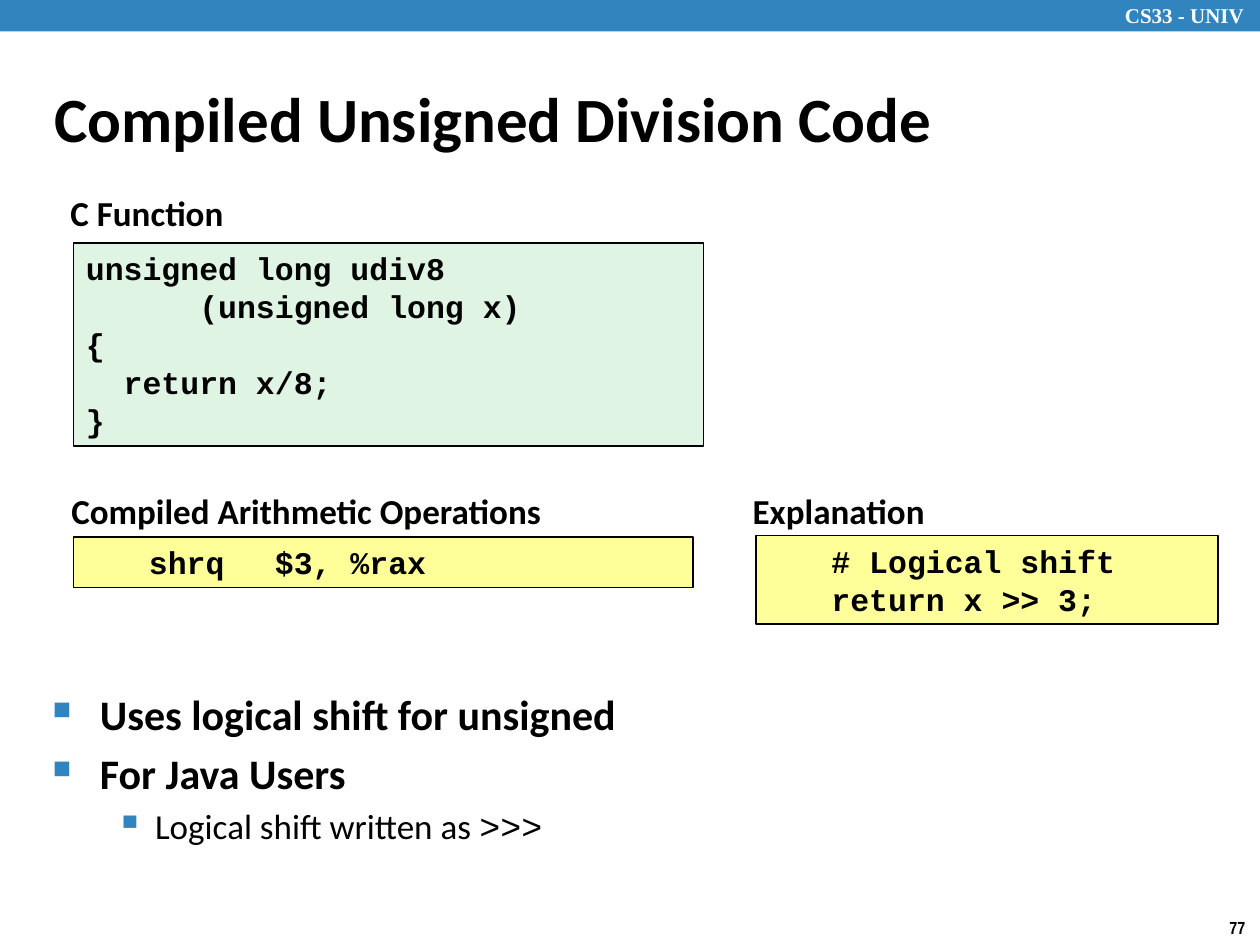
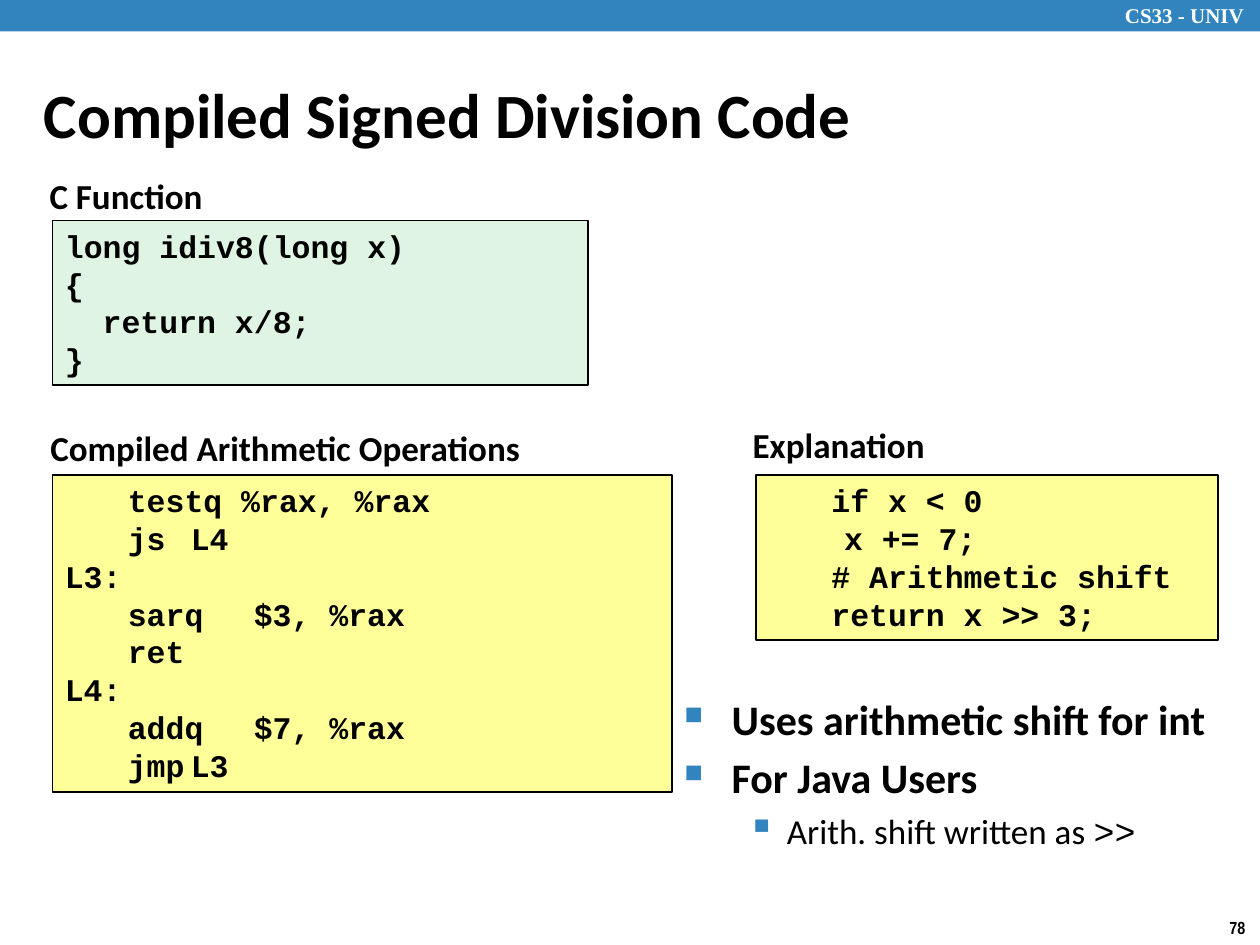
"""Two slides on compiled division code."""
from lxml import etree as et
from pptx import Presentation
from pptx import util as u
from pptx.dml import color as c
from pptx.enum import shapes, text
from pptx.oxml import ns

Pt = u.Pt
BLUE = c.RGBColor(0x32, 0x84, 0xBF)
GREEN = c.RGBColor(0xE0, 0xF4, 0xE3)
YELLOW = c.RGBColor(0xFF, 0xFF, 0x99)
BLACK = c.RGBColor(0, 0, 0)
WHITE = c.RGBColor(255, 255, 255)

HEAD = dict(name="Calibri", size=Pt(36), bold=True)
LABEL = dict(name="Calibri", size=Pt(20), bold=True)
CODE = dict(name="Courier New", size=Pt(18), bold=True)
BRAND = dict(name="Times New Roman", size=Pt(12), bold=True)
PAGE = dict(name="Arial Narrow", size=Pt(10), bold=True)
POINT = dict(name="Calibri", size=Pt(24), bold=True)
SUB = dict(name="Calibri", size=Pt(20), bold=False)
MONO = dict(SUB, name="Courier New")

CHAR, LINE, PAD = 10.8, 21.75, 7.2  # code character width, line height, padding
FIT = dict(auto_size=text.MSO_AUTO_SIZE.SHAPE_TO_FIT_TEXT)


def assign(obj, fmt):
    """Set every attribute named in a dict of format values."""
    for key, val in fmt.items():
        setattr(obj, key, val)


def child(node, tag, **attrs):
    """Append a drawing element with attributes."""
    sub = et.SubElement(node, ns.qn("a:" + tag))
    for key, val in attrs.items():
        sub.set(key, str(val))
    return sub


def indent(par, left, first=0):
    """Set the left margin and first-line indent in points."""
    props = par._p.get_or_add_pPr()
    props.set("marL", str(int(Pt(left))))
    props.set("indent", str(int(Pt(first))))
    return props


class Deck:
    """Holds the presentation, its style and the current slide."""

    def __init__(self, page):
        """Open an empty 10 by 7.5 inch deck; page is the first number."""
        self.prs = Presentation()
        self.prs.slide_width, self.prs.slide_height = Pt(720), Pt(540)
        self.page = page

    def start(self, title, left, top):
        """Begin a slide with band, course name, page number and title."""
        self.slide = self.prs.slides.add_slide(self.prs.slide_layouts[6])
        self.rect(0, 0, 720, 18, BLUE)
        frame = self.box(635.75, -2, 89.25, 21.6, **FIT)
        self.run(frame.paragraphs[0], "CS33 - UNIV", BRAND, WHITE)
        frame = self.box(695.5, 520.5, 24.5, 19.5, **FIT, word_wrap=False)
        self.run(frame.paragraphs[0], str(self.page), PAGE)
        self.page += 1
        frame = self.box(left, top, 624, 45,
                         vertical_anchor=text.MSO_ANCHOR.MIDDLE)
        indent(frame.paragraphs[0], 9, -9)
        self.run(frame.paragraphs[0], title, HEAD)

    def rect(self, left, top, width, height, fill):
        """Draw a plain filled rectangle."""
        shape = self.slide.shapes.add_shape(
            shapes.MSO_SHAPE.RECTANGLE, Pt(left), Pt(top), Pt(width), Pt(height))
        shape.shadow.inherit = False
        shape.fill.solid()
        shape.fill.fore_color.rgb = fill
        shape.line.fill.background()
        return shape

    def box(self, left, top, width, height, **fmt):
        """Add a text box and return its frame."""
        frame = self.slide.shapes.add_textbox(
            Pt(left), Pt(top), Pt(width), Pt(height)).text_frame
        assign(frame, dict(word_wrap=True) | fmt)
        return frame

    def run(self, par, words, fmt, color=BLACK):
        """Add a run of text in a given style."""
        run = par.add_run()
        run.text = words
        assign(run.font, fmt)
        run.font.color.rgb = color

    def label(self, words, left, top, width):
        """Write the caption above a code box."""
        pads = {"margin_" + side: Pt(3.6)
                for side in ("left", "top", "right", "bottom")}
        frame = self.box(left, top, width, 31.5, **FIT, **pads, word_wrap=False)
        frame.paragraphs[0].alignment = text.PP_ALIGN.CENTER
        self.run(frame.paragraphs[0], words, LABEL)

    def code(self, lines, left, top, width, fill):
        """Draw a code box; a (count, text) line is indented by characters."""
        shape = self.rect(left, top, width, PAD + LINE * len(lines), fill)
        shape.line.color.rgb = BLACK
        shape.line.width = Pt(1)
        frame = shape.text_frame
        assign(frame, dict(FIT, word_wrap=True,
                           vertical_anchor=text.MSO_ANCHOR.TOP))
        for i, line in enumerate(lines):
            par = frame.add_paragraph() if i else frame.paragraphs[0]
            par.alignment = text.PP_ALIGN.LEFT
            count, words = line if isinstance(line, tuple) else (0, line)
            props = indent(par, count * CHAR)
            if "\t" in words:
                child(child(props, "tabLst"), "tab", pos=int(Pt(18)), algn="l")
            self.run(par, words, CODE)

    def points(self, first, sub, sign, left, top, width):
        """Write two bullets and a sub-bullet that ends in an operator."""
        frame = self.box(left, top, width, 93.6)
        rows = [([(first, POINT)], 0, 27, -27, "\u25a0", 60),
                ([("For Java Users", POINT)], 0, 27, -27, "\u25a0", 60),
                ([(sub, SUB), (sign, MONO)], 1, 58.5, -22.5, "\u25aa", 110)]
        for i, (runs, level, margin, hang, mark, size) in enumerate(rows):
            par = frame.add_paragraph() if i else frame.paragraphs[0]
            par.level = level
            if i:
                par.space_before = Pt(runs[0][1]["size"].pt * 0.2)
            props = indent(par, margin, hang)
            child(child(props, "buClr"), "srgbClr", val=BLUE)
            child(props, "buSzPct", val=size * 1000)
            child(props, "buChar", char=mark)
            for words, fmt in runs:
                self.run(par, words, fmt)


deck = Deck(77)

deck.start("Compiled Unsigned Division Code", 24, 44.5)
deck.code(["\tshrq\t$3, %rax"], 42, 306.75, 354, YELLOW)
deck.points("Uses logical shift for unsigned", "Logical shift written as ",
            ">>>", 23, 390, 654.5)
deck.code(["unsigned long udiv8", (6, "(unsigned long x)"), "{",
           (2, "return x/8;"), "}"], 42, 139, 360, GREEN)
deck.code(["\t# Logical shift", "\treturn x >> 3;"], 432, 306, 264, YELLOW)
deck.label("C Function", 36, 106, 96)
deck.label("Compiled Arithmetic Operations", 36, 276, 278)
deck.label("Explanation", 426, 276, 106.5)

deck.start("Compiled Signed Division Code", 18, 42)
deck.code(["\ttestq %rax, %rax", "\tjs\tL4", "L3:", "\tsarq\t$3, %rax",
           "\tret", "L4:", "\taddq\t$7, %rax", "\tjmp\tL3"],
          30, 271.5, 354, YELLOW)
deck.points("Uses arithmetic shift for int", "Arith. shift written as ",
            ">>", 384, 392.5, 336)
deck.code(["long idiv8(long x)", "{", (2, "return x/8;"), "}"],
          30, 126, 306, GREEN)
deck.code(["\tif x < 0", (4, "x += 7;"), "\t# Arithmetic shift",
           "\treturn x >> 3;"], 432, 271.5, 264, YELLOW)
deck.label("C Function", 24, 96, 96)
deck.label("Compiled Arithmetic Operations", 24, 240, 278)
deck.label("Explanation", 426, 238.5, 106.5)

deck.prs.save("out.pptx")
